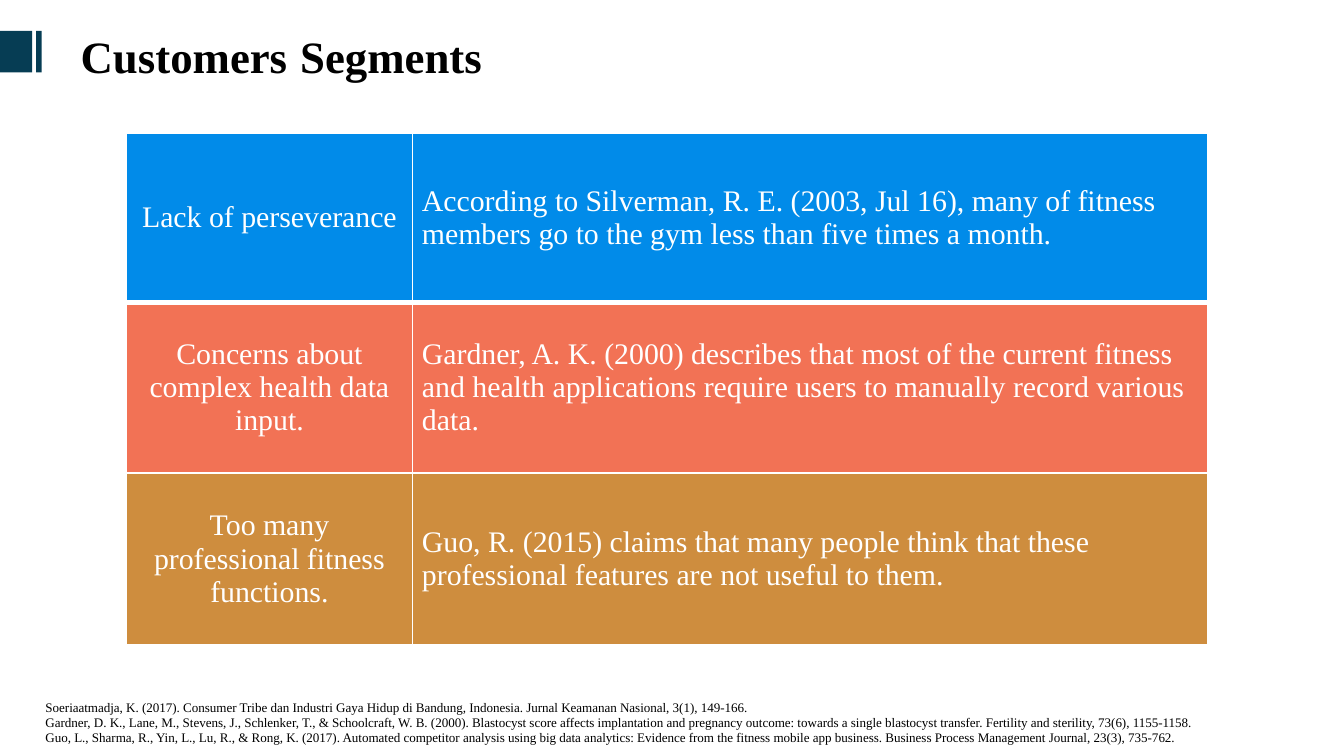
from lxml import etree
from pptx import Presentation
from pptx.dml.color import RGBColor
from pptx.enum import shapes, text
from pptx.oxml import ns
from pptx.util import Inches, Pt

FONT = "Times New Roman"
BLACK = RGBColor(0x00, 0x00, 0x00)
WHITE = RGBColor(0xFF, 0xFF, 0xFF)
NAVY = RGBColor(0x06, 0x3D, 0x54)
BLUE = RGBColor(0x01, 0x8B, 0xE9)
CORAL = RGBColor(0xF2, 0x72, 0x55)
OCHRE = RGBColor(0xCE, 0x8D, 0x3E)

COLUMN_WIDTHS = (2.13, 5.92)
SEGMENTS = [
    (1.26, BLUE, "Lack of perseverance",
     "According to Silverman, R. E. (2003, Jul 16), many of fitness members "
     "go to the gym less than five times a month."),
    (1.27, CORAL, "Concerns about complex health data input.",
     "Gardner, A. K. (2000) describes that most of the current fitness and health "
     "applications require users to manually record various data."),
    (1.28, OCHRE, "Too many professional fitness functions.",
     "Guo, R. (2015) claims that many people think that these professional "
     "features are not useful to them."),
]
REFERENCES = [
    "Soeriaatmadja, K. (2017). Consumer Tribe dan Industri Gaya Hidup di Bandung, "
    "Indonesia. Jurnal Keamanan Nasional, 3(1), 149-166.",
    "Gardner, D. K., Lane, M., Stevens, J., Schlenker, T., & Schoolcraft, W. B. (2000). "
    "Blastocyst score affects implantation and pregnancy outcome: towards a single "
    "blastocyst transfer. Fertility and sterility, 73(6), 1155-1158.",
    "Guo, L., Sharma, R., Yin, L., Lu, R., & Rong, K. (2017). Automated competitor "
    "analysis using big data analytics: Evidence from the fitness mobile app business. "
    "Business Process Management Journal, 23(3), 735-762.",
]


def add_run(paragraph, wording, size, color, bold=False):
    """Append a formatted run to a paragraph."""
    run = paragraph.add_run()
    run.text = wording
    run.font.name = FONT
    run.font.size = Pt(size)
    run.font.bold = bold
    run.font.color.rgb = color


def add_title(slide):
    """Place and fill the title placeholder."""
    title = slide.shapes.title
    title.left, title.top = Inches(0), Inches(0.04)
    title.width, title.height = Inches(3.72), Inches(0.6)
    frame = title.text_frame
    frame.word_wrap = True
    frame.auto_size = text.MSO_AUTO_SIZE.NONE
    frame.vertical_anchor = text.MSO_ANCHOR.TOP
    frame.margin_left, frame.margin_right = Inches(0.6), Inches(0)
    frame.margin_top = frame.margin_bottom = Inches(0.05)
    heading = frame.paragraphs[0]
    heading.alignment = text.PP_ALIGN.LEFT
    heading.line_spacing = 1.15
    for wording, size in (("Customers", 24), (" ", 28), ("Segments", 24)):
        add_run(heading, wording, size, BLACK, bold=True)


def add_accent(slide, left, width):
    """Add one navy bar of the title accent."""
    accent = slide.shapes.add_shape(
        shapes.MSO_SHAPE.RECTANGLE,
        Inches(left), Inches(0.23), Inches(width), Inches(0.31))
    accent.shadow.inherit = False
    accent.fill.solid()
    accent.fill.fore_color.rgb = NAVY
    accent.line.fill.background()


def set_borders(cell, top, bottom):
    """Draw white cell borders with the given top and bottom widths."""
    properties = cell._tc.get_or_add_tcPr()
    for side, width in (("L", 1), ("R", 1), ("T", top), ("B", bottom)):
        line = etree.SubElement(properties, ns.qn(f"a:ln{side}"), w=str(Pt(width)))
        fill = etree.SubElement(line, ns.qn("a:solidFill"))
        etree.SubElement(fill, ns.qn("a:srgbClr"), val=str(WHITE))


def fill_cell(cell, wording, color, alignment):
    """Write and colour one table cell."""
    cell.fill.solid()
    cell.fill.fore_color.rgb = color
    cell.vertical_anchor = text.MSO_ANCHOR.MIDDLE
    cell.margin_left = cell.margin_right = Inches(0.07)
    cell.margin_top = cell.margin_bottom = Inches(0.04)
    paragraph = cell.text_frame.paragraphs[0]
    paragraph.alignment = alignment
    add_run(paragraph, wording, 16, WHITE)


def add_segments(slide):
    """Add the table of customer segments."""
    table = slide.shapes.add_table(
        len(SEGMENTS), len(COLUMN_WIDTHS),
        Inches(0.94), Inches(0.99), Inches(8.05), Inches(3.81)).table
    for column, width in zip(table.columns, COLUMN_WIDTHS):
        column.width = Inches(width)
    alignments = (text.PP_ALIGN.CENTER, text.PP_ALIGN.LEFT)
    for index, (height, color, *wordings) in enumerate(SEGMENTS):
        row = table.rows[index]
        row.height = Inches(height)
        for cell, wording, alignment in zip(row.cells, wordings, alignments):
            set_borders(cell, 3 if index == 1 else 1, 3 if index == 0 else 1)
            fill_cell(cell, wording, color, alignment)


def add_references(slide):
    """Add the list of references at the foot."""
    frame = slide.shapes.add_textbox(
        Inches(0.24), Inches(5.16), Inches(9.1), Inches(0.55)).text_frame
    frame.word_wrap = True
    for index, reference in enumerate(REFERENCES):
        entry = frame.add_paragraph() if index else frame.paragraphs[0]
        entry.alignment = text.PP_ALIGN.JUSTIFY
        entry.line_spacing = 0.96
        entry.space_after = Pt(0.2)
        add_run(entry, reference, 7, BLACK)


def main():
    """Build and save the customer segments slide."""
    deck = Presentation()
    deck.slide_width = Inches(10)
    deck.slide_height = deck.slide_width * 9 // 16
    slide = deck.slides.add_slide(deck.slide_layouts[5])
    add_segments(slide)
    add_title(slide)
    for left, width in ((0, 0.24), (0.27, 0.04)):
        add_accent(slide, left, width)
    add_references(slide)
    deck.save("out.pptx")


if __name__ == "__main__":
    main()
